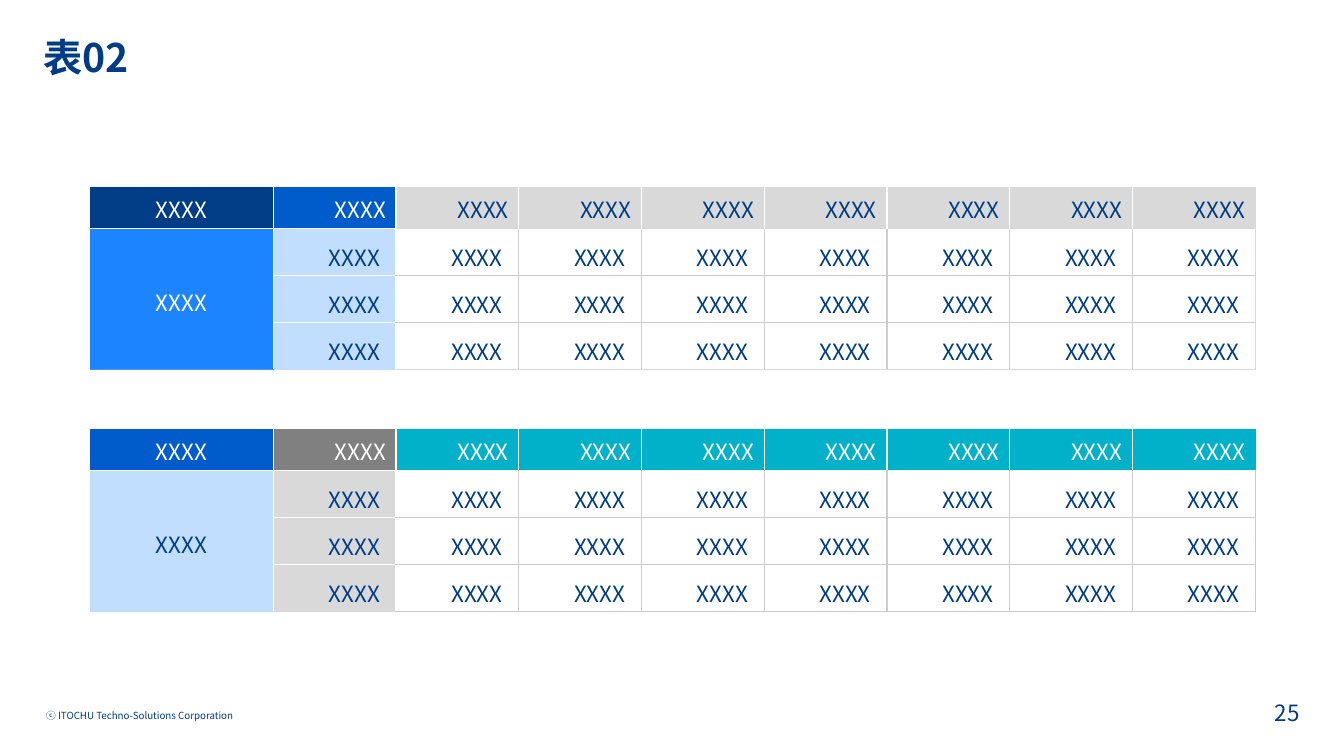
import pptx
import pptx.util
import pptx.dml.color
import pptx.enum.text
import pptx.oxml.ns
import lxml.etree

FONT = "Noto Sans CJK JP"
COLORS = {
    "navy": "003D86", "footer": "013C85", "blue": "005CCA", "bright": "1D84FF",
    "bright_rule": "469AFF", "pale": "C1DDFF", "teal": "01B1C9", "gray": "808080",
    "silver": "D9D9D9", "rule": "CCCCCC", "white": "FFFFFF",
}
ALIGN = pptx.enum.text.PP_ALIGN
ANCHOR = pptx.enum.text.MSO_ANCHOR
NO_STYLE = "{2D5ABB26-0587-4C30-8999-92F81FD0307C}"
SLIDE_WIDTH, SLIDE_HEIGHT = pptx.util.Inches(13.33), pptx.util.Inches(7.5)
VALUE = "XXXX"
ROWS, COLS = 4, 9

# Boxes are left, top, width, height in percent of the slide
TITLE_BOX = (3.23, 5.07, 76.82, 6.27)
COPYRIGHT_BOX = (2.7, 93.2, 22.5, 4.8)
PAGE_BOX = (74.94, 92.27, 22.5, 4.4)
TABLE_BOXES = [(6.68, 24.8, 86.72, 24), (6.68, 56.8, 86.72, 24)]

# Each table: fills and text colours by region, then its outer rules
BLUE_TABLE = {
    "corner": ("navy", "white"), "subhead": ("blue", "white"),
    "head": ("silver", "navy"), "group": ("bright", "white"),
    "item": ("pale", "navy"), "value": (None, "navy"),
    "head_rule": None, "group_rule": "bright_rule",
    "item_rule": None, "outer_rule": "silver",
}
TEAL_TABLE = {
    "corner": ("blue", "white"), "subhead": ("gray", "white"),
    "head": ("teal", "white"), "group": ("pale", "navy"),
    "item": ("silver", "navy"), "value": (None, "navy"),
    "head_rule": "white", "group_rule": "pale",
    "item_rule": "silver", "outer_rule": "rule",
}


def rgb(name):
    return pptx.dml.color.RGBColor.from_string(COLORS[name])


def place(box):
    left, top, width, height = box
    return (int(SLIDE_WIDTH * left / 100), int(SLIDE_HEIGHT * top / 100),
            int(SLIDE_WIDTH * width / 100), int(SLIDE_HEIGHT * height / 100))


def write(frame, text, size=16, color="navy", bold=False, align=ALIGN.LEFT, spacing=None):
    paragraph = frame.paragraphs[0]
    paragraph.alignment = align
    if spacing:
        paragraph.line_spacing = spacing
    run = paragraph.add_run()
    run.text = text
    run.font.size = pptx.util.Pt(size)
    run.font.bold = bold
    run.font.name = FONT
    run.font.color.rgb = rgb(color)
    east_asian = lxml.etree.SubElement(run.font._element, pptx.oxml.ns.qn("a:ea"))
    east_asian.set("typeface", FONT)


def add_label(slide, box, text, margins=(0.1, 0.05, 0.1, 0.05), anchor=ANCHOR.TOP, **style):
    frame = slide.shapes.add_textbox(*place(box)).text_frame
    frame.word_wrap = True
    frame.vertical_anchor = anchor
    set_margins(frame, margins)
    write(frame, text, **style)


def set_margins(holder, margins):
    for side, inches in zip(("left", "top", "right", "bottom"), margins):
        setattr(holder, "margin_" + side, pptx.util.Inches(inches))


def set_borders(cell, colors):
    """Colours come in the order left, right, top, bottom."""
    qn = pptx.oxml.ns.qn
    properties = cell._tc.get_or_add_tcPr()
    for side, color in zip("LRTB", colors):
        line = lxml.etree.SubElement(properties, qn("a:ln" + side), w=str(pptx.util.Pt(1)))
        if color:
            fill = lxml.etree.SubElement(line, qn("a:solidFill"))
            lxml.etree.SubElement(fill, qn("a:srgbClr"), val=COLORS[color])
        else:
            lxml.etree.SubElement(line, qn("a:noFill"))


def region_of(row, col):
    regions = ("corner", "subhead", "head") if row == 0 else ("group", "item", "value")
    return regions[min(col, 2)]


def vertical_rule(theme, row, edge):
    """Colour of the rule left of column number edge."""
    if edge == 0:
        return None
    if edge == COLS:
        return theme["head"][0] if row == 0 else theme["outer_rule"]
    return "white" if row == 0 or edge <= 2 else "rule"


def horizontal_rule(theme, edge, col):
    """Colour of the rule above row number edge."""
    if edge == 0:
        return None
    if edge == 1:
        return "white" if col < 2 else theme["head_rule"]
    if edge == ROWS:
        return theme[("group_rule", "item_rule", "outer_rule")[min(col, 2)]]
    return "white" if col == 1 else "rule"


def add_data_table(slide, box, theme):
    left, top, width, height = place(box)
    holder = slide.shapes.add_table(ROWS, COLS, left, top, width, height)
    table = holder.table
    table.first_row = table.horz_banding = False
    table._tbl.tblPr.find(pptx.oxml.ns.qn("a:tableStyleId")).text = NO_STYLE

    # Wide first column, the rest shared equally
    group_width = int(width * 0.1574)
    for col, column in enumerate(table.columns):
        column.width = group_width if col == 0 else (width - group_width) // (COLS - 1)
    for row in table.rows:
        row.height = int(height * 0.2278)
    holder.height = height
    table.cell(1, 0).merge(table.cell(ROWS - 1, 0))

    for row in range(ROWS):
        for col in range(COLS):
            cell = table.cell(row, col)
            if cell.is_spanned:
                continue
            fill, color = theme[region_of(row, col)]
            bottom = row + (cell.span_height if cell.is_merge_origin else 1)
            set_borders(cell, (vertical_rule(theme, row, col),
                               vertical_rule(theme, row, col + 1),
                               horizontal_rule(theme, row, col),
                               horizontal_rule(theme, bottom, col)))
            if fill:
                cell.fill.solid()
                cell.fill.fore_color.rgb = rgb(fill)
            else:
                cell.fill.background()
            set_margins(cell, (0.1, 0.05, 0.1, 0.05) if row == 0 else (0.16, 0.12, 0.16, 0.08))
            cell.vertical_anchor = ANCHOR.MIDDLE if row == 0 or col == 0 else ANCHOR.TOP
            write(cell.text_frame, VALUE, color=color,
                  align=ALIGN.CENTER if col == 0 else ALIGN.RIGHT)


def add_footer(slide):
    add_label(slide, COPYRIGHT_BOX, "ⓒ ITOCHU Techno-Solutions Corporation",
              size=7, color="footer")
    add_label(slide, PAGE_BOX, "25", anchor=ANCHOR.BOTTOM, color="footer", align=ALIGN.RIGHT)


def main():
    deck = pptx.Presentation()
    deck.slide_width, deck.slide_height = SLIDE_WIDTH, SLIDE_HEIGHT
    slide = deck.slides.add_slide(deck.slide_layouts[6])

    # Title
    add_label(slide, TITLE_BOX, "表02", margins=(0, 0, 0, 0.05),
              size=28, bold=True, spacing=0.9)
    # Tables
    for box, theme in zip(TABLE_BOXES, (BLUE_TABLE, TEAL_TABLE)):
        add_data_table(slide, box, theme)
    # Footer
    add_footer(slide)
    deck.save("out.pptx")


if __name__ == "__main__":
    main()
